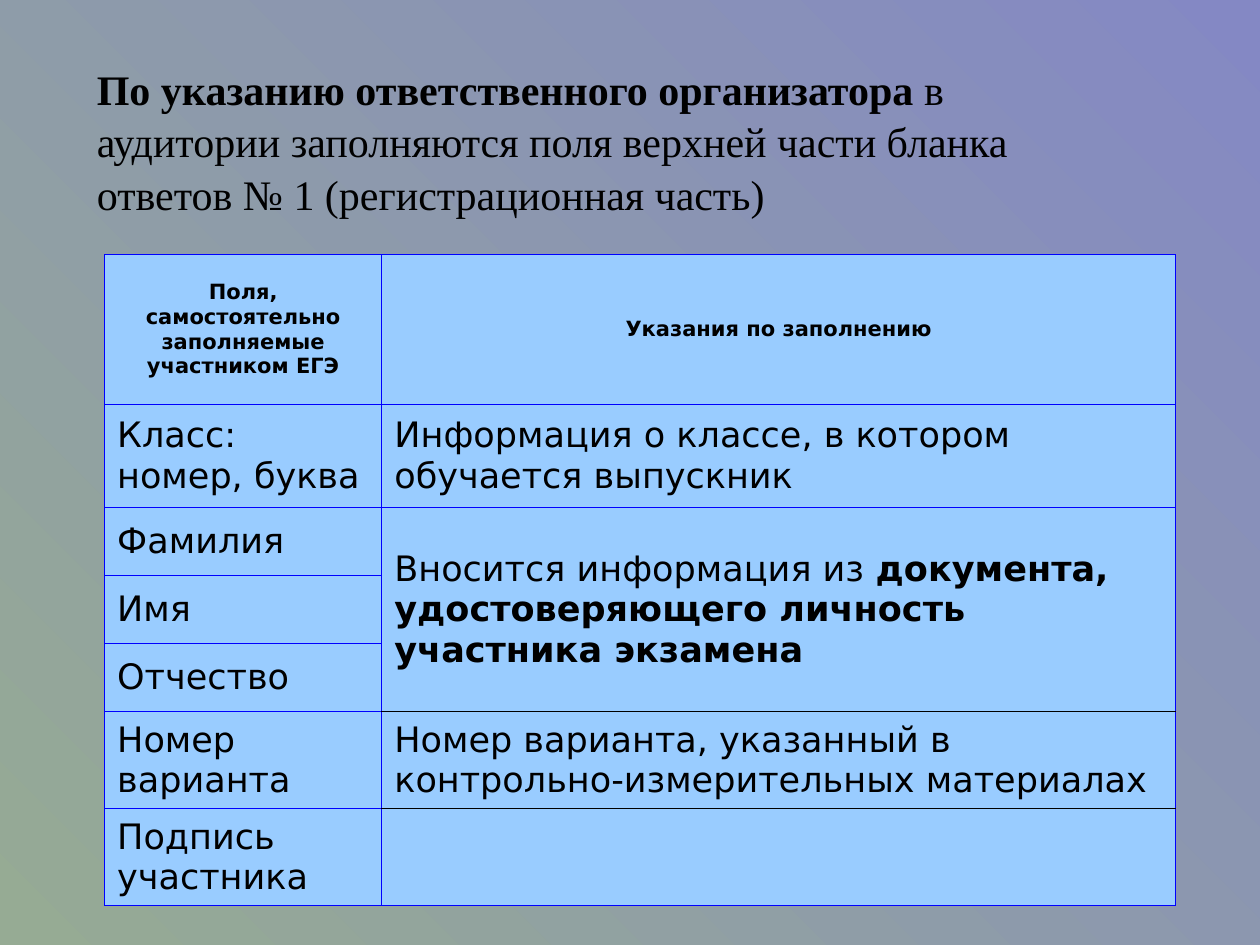
"""Build the slide on filling in the registration part of answer form 1."""
from pptx import Presentation
from pptx import util as u
from pptx.dml.color import RGBColor
from pptx.enum import text
from pptx.oxml import parse_xml
from pptx.oxml.ns import nsdecls

BLACK = RGBColor(0x00, 0x00, 0x00)
BLUE = RGBColor(0x00, 0x00, 0xFF)
SKY = RGBColor(0x99, 0xCC, 0xFF)
LILAC = RGBColor(0x84, 0x88, 0xC4)
SAGE = RGBColor(0x96, 0xAB, 0x94)

TITLE = {"name": "Times New Roman", "size": u.Pt(24)}
HEAD = {"name": "DejaVu Sans", "size": u.Pt(12)}
BODY = {"name": "DejaVu Sans", "size": u.Pt(20)}

WIDTHS = [2.2, 6.3]
HEIGHTS = [1.19, 0.82, 0.54, 0.54, 0.54, 0.77, 0.77]
FIELDS = [
    [[("Поля, самостоятельно заполняемые участником ЕГЭ", True)],
     [("Указания по заполнению", True)]],
    [[("Класс: номер, буква", False)],
     [("Информация о классе, в котором обучается выпускник", False)]],
    [[("Фамилия", False)],
     [("Вносится информация из ", False),
      ("документа, удостоверяющего личность участника экзамена", True)]],
    [[("Имя", False)], []],
    [[("Отчество", False)], []],
    [[("Номер варианта", False)],
     [("Номер варианта, указанный в контрольно-измерительных материалах", False)]],
    [[("Подпись участника", False)], []],
]
DARK = {(4, 1, "B"), (5, 1, "T"), (5, 1, "B"), (6, 1, "T")}


class Deck:
    """Holds the style and the current slide."""

    def __init__(self):
        self.prs = Presentation()
        self.prs.slide_width, self.prs.slide_height = u.Inches(10), u.Inches(7.5)
        self.slide = self.prs.slides.add_slide(self.prs.slide_layouts[6])

    def back(self, start, end, angle):
        """Fill the background with a two-colour gradient."""
        fill = self.slide.background.fill
        fill.gradient()
        fill.gradient_angle = angle
        for stop, color, pos in zip(fill.gradient_stops, (start, end), (0, 1)):
            stop.color.rgb, stop.position = color, pos

    def words(self, para, runs, style):
        """Add styled runs of (wording, bold) to a paragraph."""
        for wording, bold in runs:
            run = para.add_run()
            run.text = wording
            for key, value in {**style, "bold": bold}.items():
                setattr(run.font, key, value)
            run.font.color.rgb = BLACK

    def label(self, box, runs, style):
        """Add a wrapped text box."""
        frame = self.slide.shapes.add_textbox(*map(u.Inches, box)).text_frame
        frame.word_wrap = True
        para = frame.paragraphs[0]
        para.line_spacing = 1.04
        self.words(para, runs, style)

    def edge(self, cell, side, color):
        """Draw one border of a cell."""
        cell._tc.get_or_add_tcPr().append(parse_xml(
            f'<a:ln{side} {nsdecls("a")} w="{u.Pt(0.45)}"><a:solidFill>'
            f'<a:srgbClr val="{color}"/></a:solidFill></a:ln{side}>'))

    def table(self, left, top, rows):
        """Add the table of fields with its borders and fills."""
        size = map(u.Inches, (left, top, sum(WIDTHS), sum(HEIGHTS)))
        grid = self.slide.shapes.add_table(len(rows), len(WIDTHS), *size).table
        grid.first_row = grid.horz_banding = False
        for col, width in zip(grid.columns, WIDTHS):
            col.width = u.Inches(width)
        for r, (row, height) in enumerate(zip(rows, HEIGHTS)):
            grid.rows[r].height = u.Inches(height)
            for c, runs in enumerate(row):
                cell = grid.cell(r, c)
                for side in "LRTB":
                    self.edge(cell, side, BLACK if (r, c, side) in DARK else BLUE)
                cell.fill.solid()
                cell.fill.fore_color.rgb = SKY
                cell.vertical_anchor = text.MSO_ANCHOR.MIDDLE
                para = cell.text_frame.paragraphs[0]
                para.alignment = text.PP_ALIGN.LEFT if r else text.PP_ALIGN.CENTER
                self.words(para, runs, BODY if r else HEAD)
        grid.cell(2, 1).merge(grid.cell(4, 1))


def main():
    """Lay out the slide and save it."""
    deck = Deck()
    deck.back(LILAC, SAGE, 225)
    deck.table(0.83, 2.02, FIELDS)
    deck.label((0.67, 0.44, 8.42, 1.3), [
        ("По указанию ответственного организатора", True),
        (" в аудитории заполняются поля верхней части бланка"
         " ответов № 1 (регистрационная часть)", False)], TITLE)
    deck.prs.save("out.pptx")


if __name__ == "__main__":
    main()
